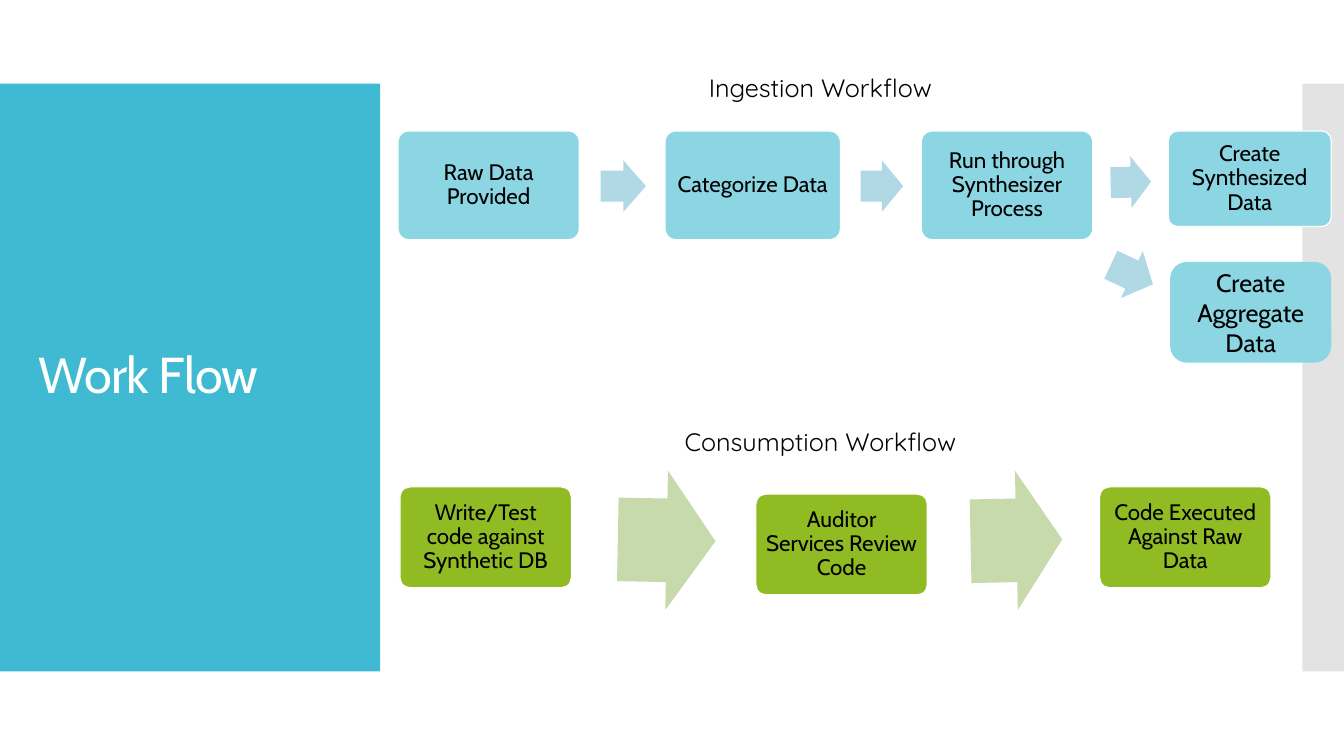
from lxml.etree import SubElement
from pptx import Presentation
from pptx.dml.color import RGBColor
from pptx.enum.shapes import MSO_SHAPE
from pptx.enum.text import MSO_ANCHOR, MSO_AUTO_SIZE, PP_ALIGN
from pptx.oxml.ns import qn
from pptx.util import Cm, Pt

TEAL = RGBColor(0x40, 0xBA, 0xD2)
GREY = RGBColor(0xC8, 0xC8, 0xC8)
SKY = RGBColor(0x8C, 0xD6, 0xE4)
PALE = RGBColor(0xB0, 0xD9, 0xE5)
GREEN = RGBColor(0x90, 0xBB, 0x23)
SAGE = RGBColor(0xC6, 0xDA, 0xAC)
BLACK = RGBColor(0, 0, 0)
WHITE = RGBColor(0xFF, 0xFF, 0xFF)


def add_run(para, text, size, color, font="Cabin"):
    run = para.add_run()
    run.text = text
    run.font.name = font
    run.font.size = Pt(size)
    run.font.color.rgb = color
    return run


def add_form(slide, kind, place, fill):
    form = slide.shapes.add_shape(kind, *map(Cm, place))
    form.shadow.inherit = False
    form.fill.solid()
    form.fill.fore_color.rgb = fill
    form.line.fill.background()
    return form


def add_strip(slide):
    strip = add_form(slide, MSO_SHAPE.RECTANGLE, (32.82, 2.11, 1.05, 14.81), GREY)
    tint = strip.element.spPr.find(qn("a:solidFill"))[0]
    SubElement(tint, qn("a:alpha")).set("val", "50000")


def add_title(slide, text):
    title = slide.shapes.title
    title.left, title.top, title.width, title.height = map(Cm, (0.71, 3.12, 8.18, 12.78))
    frame = title.text_frame
    frame.word_wrap = True
    frame.auto_size = MSO_AUTO_SIZE.NONE
    frame.vertical_anchor = MSO_ANCHOR.MIDDLE
    para = frame.paragraphs[0]
    para.alignment = PP_ALIGN.LEFT
    para.line_spacing = 0.9
    run = add_run(para, text, 36, WHITE)
    run.font._element.set("spc", "-60")
    title.element.getparent().append(title.element)


def add_label(form, text, size):
    frame = form.text_frame
    frame.word_wrap = True
    frame.vertical_anchor = MSO_ANCHOR.MIDDLE
    para = frame.paragraphs[0]
    para.alignment = PP_ALIGN.CENTER
    add_run(para, text, size, BLACK)


def add_step(slide, text, place, fill):
    step = add_form(slide, MSO_SHAPE.ROUNDED_RECTANGLE, place, fill)
    step.adjustments[0] = 0.1
    step.line.color.rgb = WHITE
    step.line.width = Pt(0.85)
    add_label(step, text, 16)
    frame = step.text_frame
    frame.margin_left = frame.margin_right = Cm(0.18)
    frame.margin_top = frame.margin_bottom = Cm(0.18)
    frame.paragraphs[0].line_spacing = 0.9


def add_arrow(slide, place, fill, turn):
    arrow = add_form(slide, MSO_SHAPE.RIGHT_ARROW, place, fill)
    arrow.adjustments[0] = 0.6
    arrow.adjustments[1] = 0.5
    arrow.rotation = turn


def add_head(slide, text, top):
    box = slide.shapes.add_textbox(Cm(13.79), Cm(top), Cm(13.77), Cm(1.02))
    box.text_frame.word_wrap = True
    para = box.text_frame.paragraphs[0]
    para.alignment = PP_ALIGN.CENTER
    add_run(para, text, 18, BLACK, "Quicksand")


def add_intake(slide):
    add_head(slide, "Ingestion Workflow", 1.7)
    for text, left, width, height in (
        ("Raw Data Provided", 10.03, 4.57, 2.74),
        ("Categorize Data", 16.76, 4.42, 2.74),
        ("Run through Synthesizer Process", 23.22, 4.32, 2.74),
        ("Create Synthesized Data", 29.44, 4.11, 2.41),
    ):
        add_step(slide, text, (left, 3.3, width, height), SKY)
    total = add_form(slide, MSO_SHAPE.ROUNDED_RECTANGLE, (29.49, 6.6, 4.06, 2.54), SKY)
    add_label(total, "Create Aggregate Data", 18)
    for left, top, width, turn in (
        (15.14, 4.04, 1.14, 0),
        (21.69, 4.04, 1.07, 0),
        (27.99, 3.94, 1.02, 358.5),
        (27.94, 6.27, 1.17, 24.9),
    ):
        add_arrow(slide, (left, top, width, 1.3), PALE, turn)


def add_usage(slide):
    add_head(slide, "Consumption Workflow", 10.62)
    for text, left, top in (
        ("Write/Test code against Synthetic DB", 10.08, 12.27),
        ("Auditor Services Review Code", 19.05, 12.45),
        ("Code Executed Against Raw Data", 27.71, 12.27),
    ):
        add_step(slide, text, (left, top, 4.32, 2.54), GREEN)
    for left, width, turn in ((15.57, 2.46, 1.1), (24.46, 2.31, 358.8)):
        add_arrow(slide, (left, 11.86, width, 3.51), SAGE, turn)


def main():
    deck = Presentation()
    deck.slide_width, deck.slide_height = Cm(33.87), Cm(19.05)
    slide = deck.slides.add_slide(deck.slide_layouts[5])
    add_form(slide, MSO_SHAPE.RECTANGLE, (0, 2.11, 9.58, 14.81), TEAL)
    add_strip(slide)
    add_title(slide, "Work Flow")
    add_intake(slide)
    add_usage(slide)
    deck.save("out.pptx")


if __name__ == "__main__":
    main()
